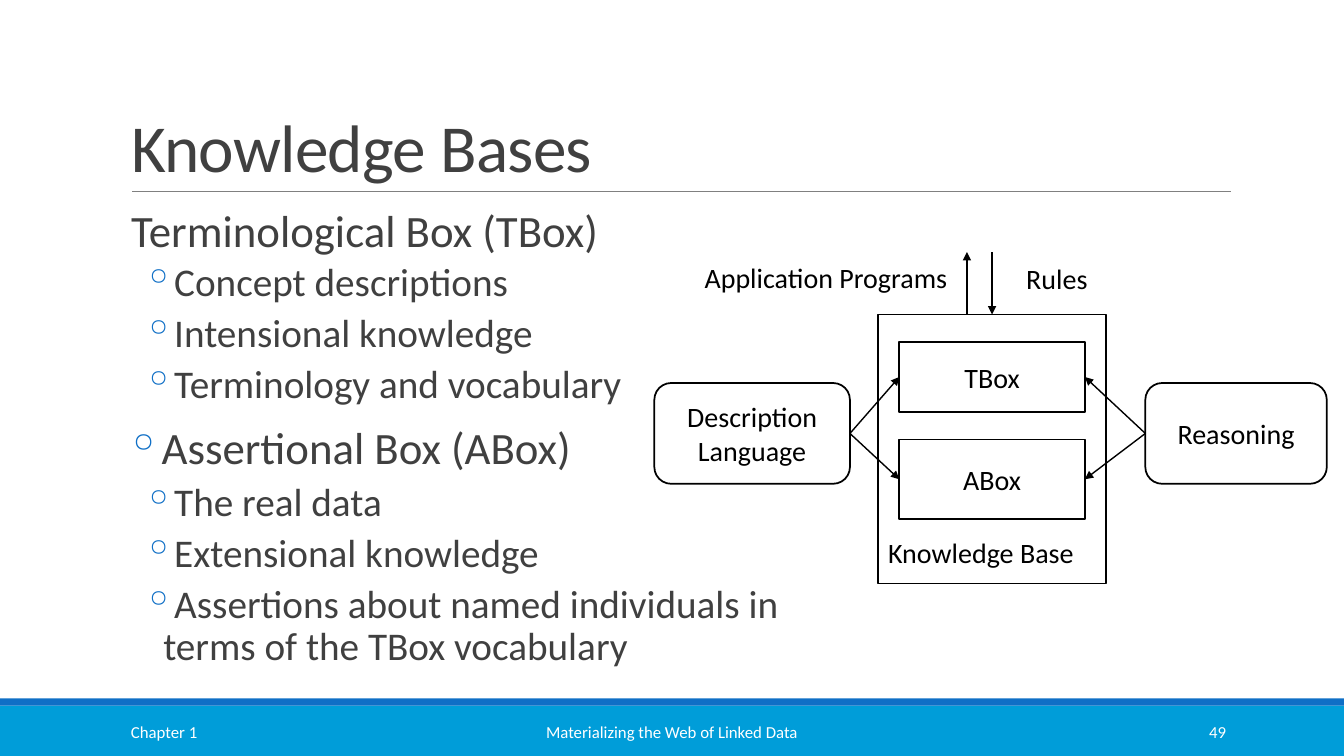
from lxml import etree
from pptx import Presentation
from pptx.dml.color import RGBColor
from pptx.enum.shapes import MSO_CONNECTOR, MSO_SHAPE
from pptx.enum.text import MSO_ANCHOR, PP_ALIGN
from pptx.oxml.ns import qn
from pptx.util import Inches, Pt

RECT, ROUNDED = MSO_SHAPE.RECTANGLE, MSO_SHAPE.ROUNDED_RECTANGLE
STRAIGHT = MSO_CONNECTOR.STRAIGHT
LEFT, CENTER, RIGHT = PP_ALIGN.LEFT, PP_ALIGN.CENTER, PP_ALIGN.RIGHT
TOP, MIDDLE, BOTTOM = MSO_ANCHOR.TOP, MSO_ANCHOR.MIDDLE, MSO_ANCHOR.BOTTOM
LEFT_SITE, RIGHT_SITE = 1, 3
FONT = "Calibri"
COLORS = {"band": "009DD9", "accent": "0F6FC6", "rule": "808080",
          "text": "404040", "black": "000000", "white": "FFFFFF"}

# Content
TITLE = "Knowledge Bases"
OUTLINE = [
    ("first", "Terminological Box (TBox)"),
    ("item", "Concept descriptions"),
    ("item", "Intensional knowledge"),
    ("item", "Terminology and vocabulary"),
    ("heading", "Assertional Box (ABox)"),
    ("item", "The real data"),
    ("item", "Extensional knowledge"),
    ("item", "Assertions about named individuals in terms of the TBox vocabulary"),
]
# size, left margin, first-line indent, space before, space after, bullet
LEVELS = {
    "first": (32, 0.1, 0, 0, 2, None),
    "heading": (32, 0.25, -0.2, 10, 4, "◦"),
    "item": (28, 0.42, -0.2, 2, 4, "◦"),
}
FOOTER = [  # text, left, width, alignment
    ("Chapter 1", 1.2, 2.7, LEFT),
    ("Materializing the Web of Linked Data", 4.03, 5.27, CENTER),
    ("49", 10.83, 1.43, RIGHT),
]
BANDS = [("band", 7, 0.5), ("accent", 6.93, 0.07)]  # color, top, height
NODES = [  # text, shape, position
    ("TBox", RECT, (8.92, 3.39, 1.84, 0.7)),
    ("ABox", RECT, (8.92, 4.36, 1.84, 0.79)),
    ("Description\nLanguage", ROUNDED, (6.49, 3.8, 1.94, 1)),
    ("Reasoning", ROUNDED, (11.36, 3.8, 1.8, 1)),
    ("", RECT, (8.71, 3.12, 2.26, 2.67)),
]
LINKS = [  # source, source site, target site
    ("Description\nLanguage", RIGHT_SITE, LEFT_SITE),
    ("Reasoning", LEFT_SITE, RIGHT_SITE),
]
FLOWS = [((9.59, 3.12), (9.59, 2.5)), ((9.84, 2.5), (9.84, 3.12))]
LABELS = [
    ("Knowledge Base", (8.71, 5.26, 2.26, 0.44)),
    ("Application Programs", (6.89, 2.54, 2.93, 0.44)),
    ("Rules", (10.08, 2.55, 1.55, 0.44)),
]


def color(name):
    return RGBColor.from_string(COLORS[name])


def style_text(box, size, name, align=LEFT, anchor=TOP):
    frame = box.text_frame
    frame.word_wrap = True
    frame.vertical_anchor = anchor
    for para in frame.paragraphs:
        para.alignment = align
        for span in para.runs:
            span.font.name = FONT
            span.font.size = Pt(size)
            span.font.color.rgb = color(name)


def add_text(page, text, position, size, name, align=LEFT, anchor=TOP):
    box = page.shapes.add_textbox(*map(Inches, position))
    box.text_frame.text = text
    style_text(box, size, name, align, anchor)


def add_line(page, start, end, name, width, arrow=False):
    line = page.shapes.add_connector(STRAIGHT, *map(Inches, start + end))
    line.line.color.rgb = color(name)
    line.line.width = Pt(width)
    if arrow:
        etree.SubElement(line.line._get_or_add_ln(), qn("a:tailEnd"), type="triangle")
    etree.SubElement(line._element.spPr, qn("a:effectLst"))
    return line


def add_outline(page):
    box = page.shapes.add_textbox(*map(Inches, (1.2, 2.02, 6.67, 4.76)))
    frame = box.text_frame
    frame.margin_left = frame.margin_right = 0
    frame.text = "\n".join(text for _, text in OUTLINE)
    style_text(box, 28, "text")
    for para, (level, _) in zip(frame.paragraphs, OUTLINE):
        size, margin, indent, before, after, bullet = LEVELS[level]
        para.line_spacing = 0.9
        para.space_before, para.space_after = Pt(before), Pt(after)
        properties = para._p.get_or_add_pPr()
        properties.set("marL", str(Inches(margin)))
        properties.set("indent", str(Inches(indent)))
        if bullet:
            tint = etree.SubElement(properties, qn("a:buClr"))
            etree.SubElement(tint, qn("a:srgbClr"), val=COLORS["accent"])
            etree.SubElement(properties, qn("a:buChar"), char=bullet)
        para.runs[0].font.size = Pt(size)


def add_diagram(page):
    nodes = {}
    for text, kind, position in NODES:
        node = page.shapes.add_shape(kind, *map(Inches, position))
        node.shadow.inherit = False
        node.fill.background()
        node.line.color.rgb = color("black")
        node.line.width = Pt(1.25)
        node.text_frame.text = text
        style_text(node, 20, "black", CENTER, MIDDLE)
        nodes[text] = node
    for source, source_site, target_site in LINKS:
        for target in ("TBox", "ABox"):
            link = add_line(page, (0, 0), (1, 1), "black", 1, arrow=True)
            link.begin_connect(nodes[source], source_site)
            link.end_connect(nodes[target], target_site)
    for start, end in FLOWS:
        add_line(page, start, end, "black", 1, arrow=True)
    for text, position in LABELS:
        add_text(page, text, position, 20, "black")


def main():
    deck = Presentation()
    deck.slide_width, deck.slide_height = Inches(13.33), Inches(7.5)
    page = deck.slides.add_slide(deck.slide_layouts[5])

    # Bands and title rule
    for name, top, height in BANDS:
        band = page.shapes.add_shape(RECT, 0, Inches(top), deck.slide_width, Inches(height))
        band.shadow.inherit = False
        band.fill.solid()
        band.fill.fore_color.rgb = color(name)
        band.line.fill.background()
    add_line(page, (1.31, 1.9), (12.21, 1.9), "rule", 0.5)

    # Title
    title = page.shapes.title
    title.left, title.top, title.width, title.height = map(Inches, (1.2, 0.31, 11, 1.59))
    title.text_frame.text = TITLE
    style_text(title, 48, "text", LEFT, BOTTOM)
    para = title.text_frame.paragraphs[0]
    para.line_spacing = 0.85
    para.runs[0].font._element.set("spc", "-50")

    # Body, footer and diagram
    add_outline(page)
    for text, left, width, align in FOOTER:
        add_text(page, text, (left, 7.06, width, 0.4), 12, "white", align, MIDDLE)
    add_diagram(page)
    deck.save("out.pptx")


if __name__ == "__main__":
    main()
